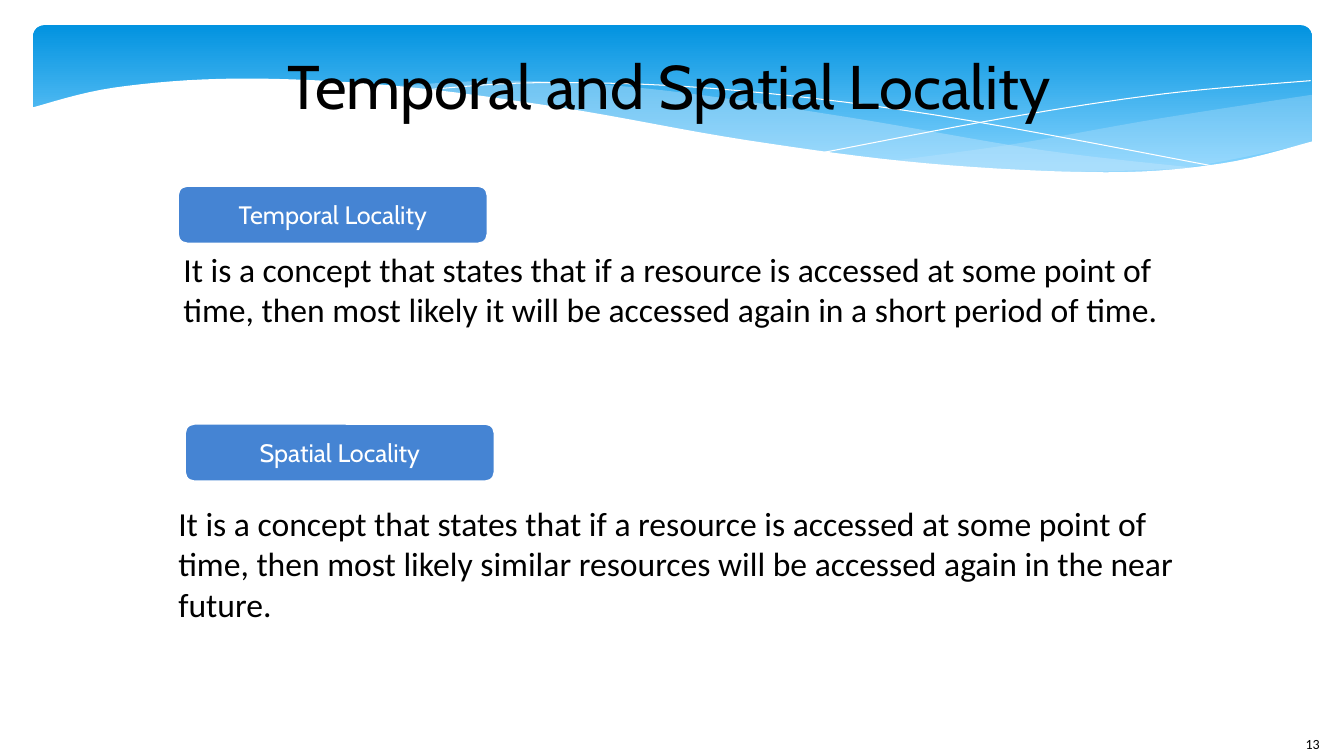
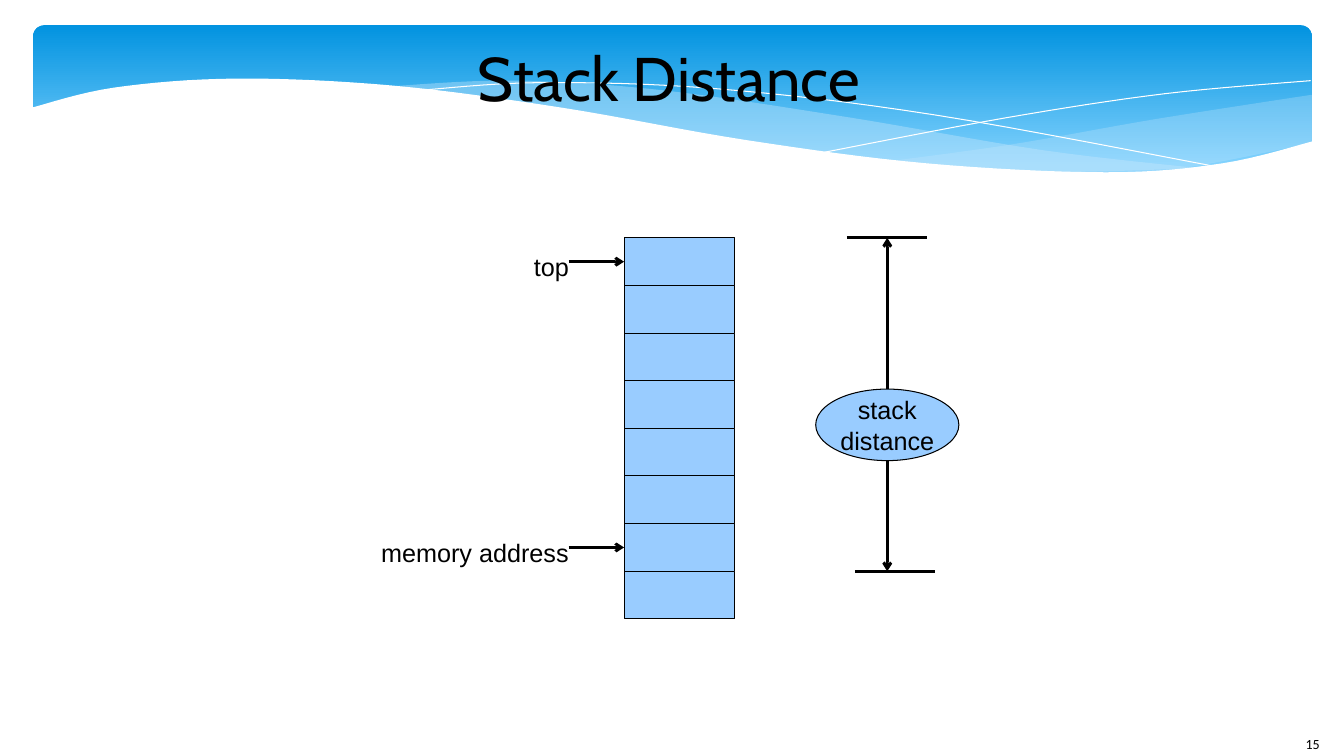
import dataclasses
from typing import Optional

import pptx
import pptx.dml.color
import pptx.enum.shapes
import pptx.enum.text
import pptx.oxml
import pptx.oxml.ns
import pptx.util
from lxml import etree

Inches = pptx.util.Inches
Pt = pptx.util.Pt
qn = pptx.oxml.ns.qn
SHAPE = pptx.enum.shapes.MSO_SHAPE
ALIGN = pptx.enum.text.PP_ALIGN
ANCHOR = pptx.enum.text.MSO_ANCHOR

BLACK = "000000"
WHITE = "FFFFFF"
BAND_TOP = "0293E0"
BAND_BOTTOM = "83D3FE"
WAVE = "C6E7FC"
PILL = "4584D3"
STACK = "99CCFF"


@dataclasses.dataclass(frozen=True)
class TextStyle:
    font: str
    size: float
    color: str = BLACK
    align: object = ALIGN.LEFT
    anchor: object = ANCHOR.TOP
    inset: tuple = (0.1, 0.05)
    wrap: bool = True


TITLE = TextStyle("Cabin", 44, align=ALIGN.CENTER, anchor=ANCHOR.MIDDLE, inset=(0, 0))
PILL_TEXT = TextStyle("Cabin", 18, WHITE, ALIGN.CENTER, ANCHOR.MIDDLE)
BODY = TextStyle("Calibri", 24)
PAGE_NUMBER = TextStyle("Calibri", 10)
LABEL = TextStyle("Arial", 18, align=ALIGN.RIGHT, wrap=False)
OVAL_TEXT = TextStyle("Arial", 18, align=ALIGN.CENTER, anchor=ANCHOR.MIDDLE, inset=(0, 0))


@dataclasses.dataclass(frozen=True)
class Wave:
    edges: tuple
    fill: Optional[str] = None
    opacity: int = 100
    line: Optional[str] = None


@dataclasses.dataclass(frozen=True)
class Locality:
    name: str
    pill_left: float
    pill_top: float
    meaning: str
    meaning_left: float
    meaning_top: float
    meaning_height: float


@dataclasses.dataclass(frozen=True)
class Pointer:
    name: str
    cell: int
    top: float
    width: float


CURVE_STEPS = 8
WAVES = (
    Wave((((13.01, 0.94), (11.47, 1.18), (10.05, 1.43), (8.82, 1.6)),
          ((8.82, 1.6), (10.25, 1.71), (11.5, 1.7), (13.01, 1.42))), WAVE, 29),
    Wave((((11.9, 1.67), (10.34, 1.49), (8.39, 1.16), (6.52, 0.89), (5.06, 0.8), (3.82, 0.86)),
          ((3.82, 0.86), (5.99, 1.16), (8.02, 1.5), (9.98, 1.7), (11.9, 1.67))), WAVE, 40),
    Wave((((4.12, 0.9), (5.35, 0.82), (7.1, 0.88), (9.27, 1.14), (12.1, 1.66)),), line=WHITE),
    Wave((((8.18, 1.51), (9.97, 1.17), (11.55, 0.93), (13, 0.8)),), line=WHITE),
    Wave((((13.03, 1.4), (12.13, 1.62), (10.97, 1.71), (9.18, 1.62), (7.4, 1.39),
           (5.58, 1.07), (3.9, 0.85), (2.35, 0.78), (1.13, 0.87), (0.31, 1.07)),
          ((0.31, 2.24), (13.03, 2.24))), WHITE),
)

LOCALITIES = (
    Locality(
        "Spatial Locality", 1.83, 4.2,
        "It is a concept that states that if a resource is accessed at some point of "
        "time, then most likely similar resources will be accessed again in the near future.",
        1.67, 4.94, 1.31),
    Locality(
        "Temporal Locality", 1.76, 1.84,
        "It is a concept that states that if a resource is accessed at some point of "
        "time, then most likely it will be accessed again in a short period of time.",
        1.72, 2.42, 0.91),
)

CELL_COUNT = 8
CELL_LEFT, CELL_WIDTH = 6.19, 1.1
STACK_TOP, STACK_HEIGHT = 2.36, 3.78
CELL_HEIGHT = STACK_HEIGHT / CELL_COUNT
POINTERS = (Pointer("top", 0, 2.44, 0.55), Pointer("memory address", 6, 5.28, 2.08))
POINTER_START = 5.64
LABEL_RIGHT = 5.74
OVAL_LEFT, OVAL_TOP, OVAL_WIDTH, OVAL_HEIGHT = 8.09, 3.86, 1.42, 0.71
LIMIT_WIDTH = 0.79


def rgb(color: str) -> pptx.dml.color.RGBColor:
    return pptx.dml.color.RGBColor.from_string(color)


def paint(shape, fill: Optional[str], line: Optional[str] = None, width: float = 0) -> None:
    shape.shadow.inherit = False
    if fill:
        shape.fill.solid()
        shape.fill.fore_color.rgb = rgb(fill)
    else:
        shape.fill.background()
    if line:
        shape.line.color.rgb = rgb(line)
        shape.line.width = Pt(width)
    else:
        shape.line.fill.background()


def write(shape, text: str, style: TextStyle) -> None:
    frame = shape.text_frame
    frame.word_wrap = style.wrap
    frame.vertical_anchor = style.anchor
    frame.margin_left = frame.margin_right = Inches(style.inset[0])
    frame.margin_top = frame.margin_bottom = Inches(style.inset[1])
    paragraph = frame.paragraphs[0]
    paragraph.text = text
    paragraph.alignment = style.align
    paragraph.font.name = style.font
    paragraph.font.size = Pt(style.size)
    paragraph.font.color.rgb = rgb(style.color)


def add_text(slide, text: str, style: TextStyle,
             left: float, top: float, width: float, height: float) -> None:
    box = slide.shapes.add_textbox(Inches(left), Inches(top), Inches(width), Inches(height))
    write(box, text, style)


def add_shape(slide, kind, left: float, top: float, width: float, height: float):
    return slide.shapes.add_shape(
        kind, Inches(left), Inches(top), Inches(width), Inches(height))


def add_line(slide, start: tuple, end: tuple, arrow: bool = False):
    line = slide.shapes.add_connector(
        pptx.enum.shapes.MSO_CONNECTOR.STRAIGHT, *map(Inches, start + end))
    line.line.color.rgb = rgb(BLACK)
    line.line.width = Pt(0)
    properties = line.element.spPr
    if arrow:
        etree.SubElement(properties.find(qn("a:ln")), qn("a:tailEnd"), type="arrow")
    etree.SubElement(properties, qn("a:effectLst"))
    return line


def blend(before: float, start: float, end: float, after: float, t: float) -> float:
    slope = (end - before) / 2
    bend = before - 2.5 * start + 2 * end - after / 2
    twist = (after - before + 3 * (start - end)) / 2
    return start + t * (slope + t * (bend + t * twist))


def smooth_edge(knots: tuple) -> list:
    padded = (knots[0], *knots, knots[-1])
    points = [
        tuple(Inches(blend(*axis, step / CURVE_STEPS)) for axis in zip(*padded[i:i + 4]))
        for i in range(len(knots) - 1)
        for step in range(CURVE_STEPS)
    ]
    return points + [tuple(map(Inches, knots[-1]))]


def draw_wave(slide, wave: Wave) -> None:
    points = [point for edge in wave.edges for point in smooth_edge(edge)]
    builder = slide.shapes.build_freeform(*points[0])
    builder.add_line_segments(points[1:], close=wave.fill is not None)
    shape = builder.convert_to_shape()
    paint(shape, wave.fill, wave.line)
    if wave.opacity < 100:
        color = shape.element.spPr.find(qn("a:solidFill")).find(qn("a:srgbClr"))
        etree.SubElement(color, qn("a:alpha"), val=str(wave.opacity * 1000))


def draw_band(slide) -> None:
    band = add_shape(slide, SHAPE.ROUNDED_RECTANGLE, 0.33, 0.25, 12.68, 1.56)
    band.adjustments[0] = 0.07
    paint(band, None)
    band.fill.gradient()
    band.fill.gradient_angle = 270
    stops = zip(band.fill.gradient_stops, ((0, BAND_TOP), (0.9, BAND_BOTTOM)))
    for stop, (position, color) in stops:
        stop.position = position
        stop.color.rgb = rgb(color)
    for wave in WAVES:
        draw_wave(slide, wave)


def new_slide(deck, title: str, title_top: float, number: int):
    slide = deck.slides.add_slide(deck.slide_layouts[6])
    draw_band(slide)
    add_text(slide, str(number), PAGE_NUMBER, 12.85, 7.25, 0.45, 0.25)
    add_text(slide, title, TITLE, 2.58, title_top, 8.11, 1.02)
    return slide


def draw_locality(slide, locality: Locality) -> None:
    pill = add_shape(slide, SHAPE.ROUNDED_RECTANGLE,
                     locality.pill_left, locality.pill_top, 3.08, 0.58)
    paint(pill, PILL, WHITE, 2)
    write(pill, locality.name, PILL_TEXT)
    add_text(slide, locality.meaning, BODY, locality.meaning_left,
             locality.meaning_top, 10.16, locality.meaning_height)


def draw_stack(slide) -> None:
    cells = []
    for index in range(CELL_COUNT):
        cell = add_shape(slide, SHAPE.RECTANGLE, CELL_LEFT,
                         STACK_TOP + index * CELL_HEIGHT, CELL_WIDTH, CELL_HEIGHT)
        paint(cell, STACK, BLACK)
        cells.append(cell)
    for pointer in POINTERS:
        add_text(slide, pointer.name, LABEL, LABEL_RIGHT - pointer.width,
                 pointer.top, pointer.width, 0.39)
        middle = STACK_TOP + (pointer.cell + 0.5) * CELL_HEIGHT
        arrow = add_line(slide, (POINTER_START, middle), (CELL_LEFT, middle), arrow=True)
        arrow.end_connect(cells[pointer.cell], 1)


def draw_distance(slide) -> None:
    center = OVAL_LEFT + OVAL_WIDTH / 2
    bottom = STACK_TOP + 7 * CELL_HEIGHT
    for left, level, edge in ((8.4, STACK_TOP, OVAL_TOP),
                              (8.48, bottom, OVAL_TOP + OVAL_HEIGHT)):
        add_line(slide, (left, level), (left + LIMIT_WIDTH, level))
        add_line(slide, (center, edge), (center, level), arrow=True)
    oval = add_shape(slide, SHAPE.OVAL, OVAL_LEFT, OVAL_TOP, OVAL_WIDTH, OVAL_HEIGHT)
    paint(oval, STACK, BLACK)
    write(oval, "stack distance", OVAL_TEXT)


def main() -> None:
    deck = pptx.Presentation()
    deck.slide_width = Inches(13.33)
    deck.slide_height = Inches(7.5)

    locality_slide = new_slide(deck, "Temporal and Spatial Locality", 0.33, 13)
    for locality in LOCALITIES:
        draw_locality(locality_slide, locality)

    distance_slide = new_slide(deck, "Stack Distance", 0.25, 15)
    draw_stack(distance_slide)
    draw_distance(distance_slide)

    deck.save("out.pptx")


if __name__ == "__main__":
    main()
